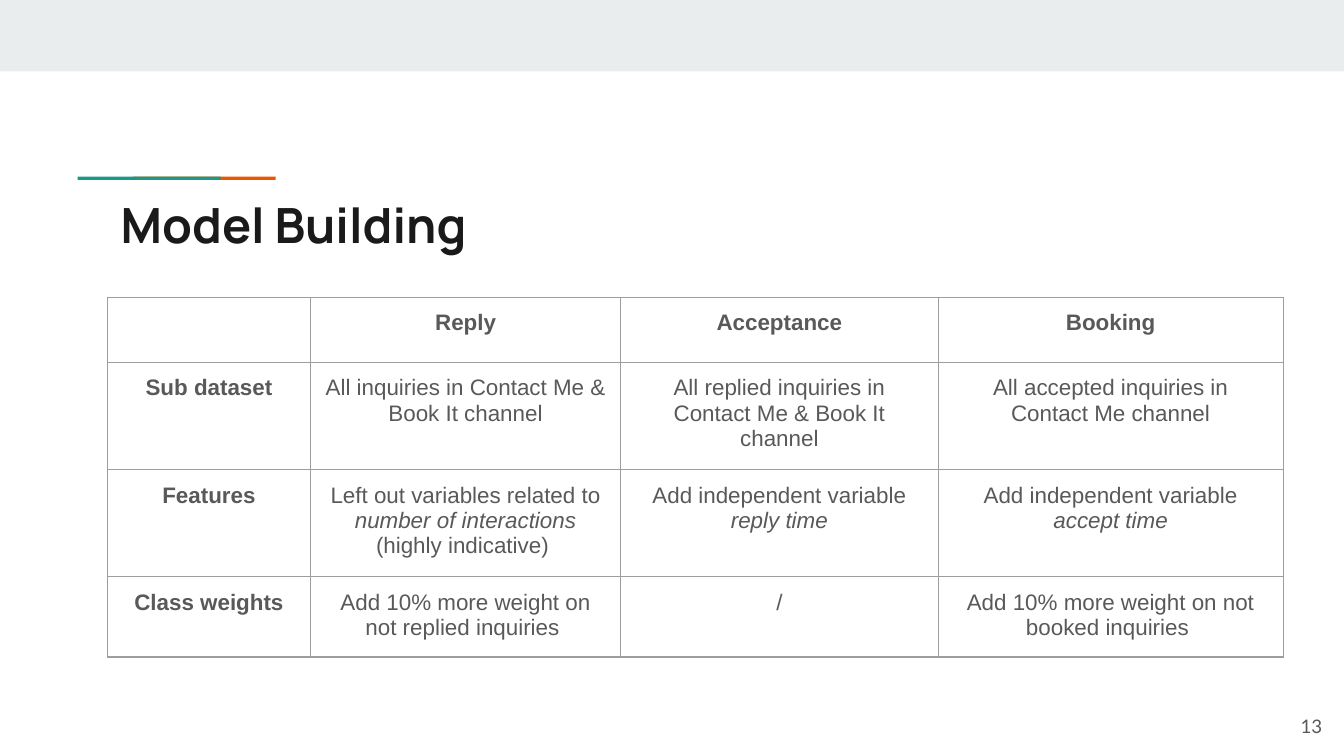
import dataclasses
import pptx
import pptx.util
import pptx.dml.color
import pptx.enum.shapes
import pptx.enum.text
import lxml.etree

Cm = pptx.util.Cm
Pt = pptx.util.Pt
RGB = pptx.dml.color.RGBColor.from_string
ALIGN = pptx.enum.text.PP_ALIGN
ANCHOR = pptx.enum.text.MSO_ANCHOR


@dataclasses.dataclass(frozen=True)
class Theme:
    band: str = "E9EDEE"
    teal: str = "1A9988"
    orange: str = "EB5600"
    dark: str = "1A1A1A"
    gray: str = "595959"
    rule: str = "9E9E9E"
    title: int = 26
    body: int = 12
    small: int = 10


theme = Theme()
pad = Cm(0.25)


def add_run(para, text, font, size, color, bold=False, italic=False):
    run = para.add_run()
    run.text = text
    run.font.name = font
    run.font.size = Pt(size)
    run.font.bold = bold
    run.font.italic = italic
    run.font.color.rgb = RGB(color)


def add_border(cell):
    """Draw a thin rule on all four sides; must come before the cell fill."""
    props = cell._tc.get_or_add_tcPr()
    space = "http://schemas.openxmlformats.org/drawingml/2006/main"
    for side in ("lnL", "lnR", "lnT", "lnB"):
        line = lxml.etree.SubElement(props, f"{{{space}}}{side}", w=str(Pt(0.75)))
        fill = lxml.etree.SubElement(line, f"{{{space}}}solidFill")
        lxml.etree.SubElement(fill, f"{{{space}}}srgbClr", val=theme.rule)


deck = pptx.Presentation()
deck.slide_width = Cm(25.4)
deck.slide_height = Cm(14.29)
slide = deck.slides.add_slide(deck.slide_layouts[6])

# Top band and the two accent bars
bars = [
    (0, 0, 25.4, 1.35, theme.band),
    (2.51, 3.34, 2.7, 0.06, theme.orange),
    (1.47, 3.34, 2.7, 0.06, theme.teal),
]
for left, top, width, height, color in bars:
    bar = slide.shapes.add_shape(
        pptx.enum.shapes.MSO_SHAPE.RECTANGLE,
        Cm(left), Cm(top), Cm(width), Cm(height))
    bar.shadow.inherit = False
    bar.fill.solid()
    bar.fill.fore_color.rgb = RGB(color)
    bar.line.fill.background()

# Title and page number
labels = [
    ("Model Building", 2.03, 3.43, 21.36, 1.5, ANCHOR.TOP, ALIGN.LEFT,
     "Manrope", theme.title, theme.dark, True),
    ("13", 23.72, 13.18, 1.52, 1.09, ANCHOR.MIDDLE, ALIGN.RIGHT,
     "Lato", theme.small, theme.gray, False),
]
for text, left, top, width, height, anchor, align, font, size, color, bold in labels:
    box = slide.shapes.add_textbox(Cm(left), Cm(top), Cm(width), Cm(height))
    frame = box.text_frame
    frame.word_wrap = True
    frame.vertical_anchor = anchor
    frame.margin_left = frame.margin_right = pad
    frame.margin_top = frame.margin_bottom = pad
    para = frame.paragraphs[0]
    para.alignment = align
    add_run(para, text, font, size, color, bold)

# Table: each cell lists its runs, and every second run is italic
rows = [
    [[], ["Reply"], ["Acceptance"], ["Booking"]],
    [["Sub dataset"],
     ["All inquiries in Contact Me & Book It channel"],
     ["All replied inquiries in Contact Me & Book It channel"],
     ["All accepted inquiries in Contact Me channel"]],
    [["Features"],
     ["Left out variables related to ", "number of interactions",
      " (highly indicative) "],
     ["Add independent variable ", "reply time"],
     ["Add independent variable ", "accept time"]],
    [["Class weights"],
     ["Add 10% more weight on not replied inquiries "],
     ["/"],
     ["Add 10% more weight on not booked inquiries "]],
]
widths = [3.84, 5.86, 6.0, 6.52]
heights = [1.23, 1.93, 1.93, 1.45]

table = slide.shapes.add_table(
    len(rows), len(widths), Cm(2.03), Cm(5.62),
    Cm(sum(widths)), Cm(sum(heights))).table
table.first_row = table.horz_banding = False
for col, width in zip(table.columns, widths):
    col.width = Cm(width)
for row, height in zip(table.rows, heights):
    row.height = Cm(height)

for r, row in enumerate(rows):
    for c, runs in enumerate(row):
        cell = table.cell(r, c)
        cell.margin_left = cell.margin_right = pad
        cell.margin_top = cell.margin_bottom = pad
        add_border(cell)
        cell.fill.background()
        para = cell.text_frame.paragraphs[0]
        para.alignment = ALIGN.CENTER
        para.font.size = Pt(theme.body)
        for i, text in enumerate(runs):
            add_run(para, text, "Arial", theme.body, theme.gray,
                    bold=r == 0 or c == 0, italic=i % 2 == 1)

deck.save("out.pptx")
